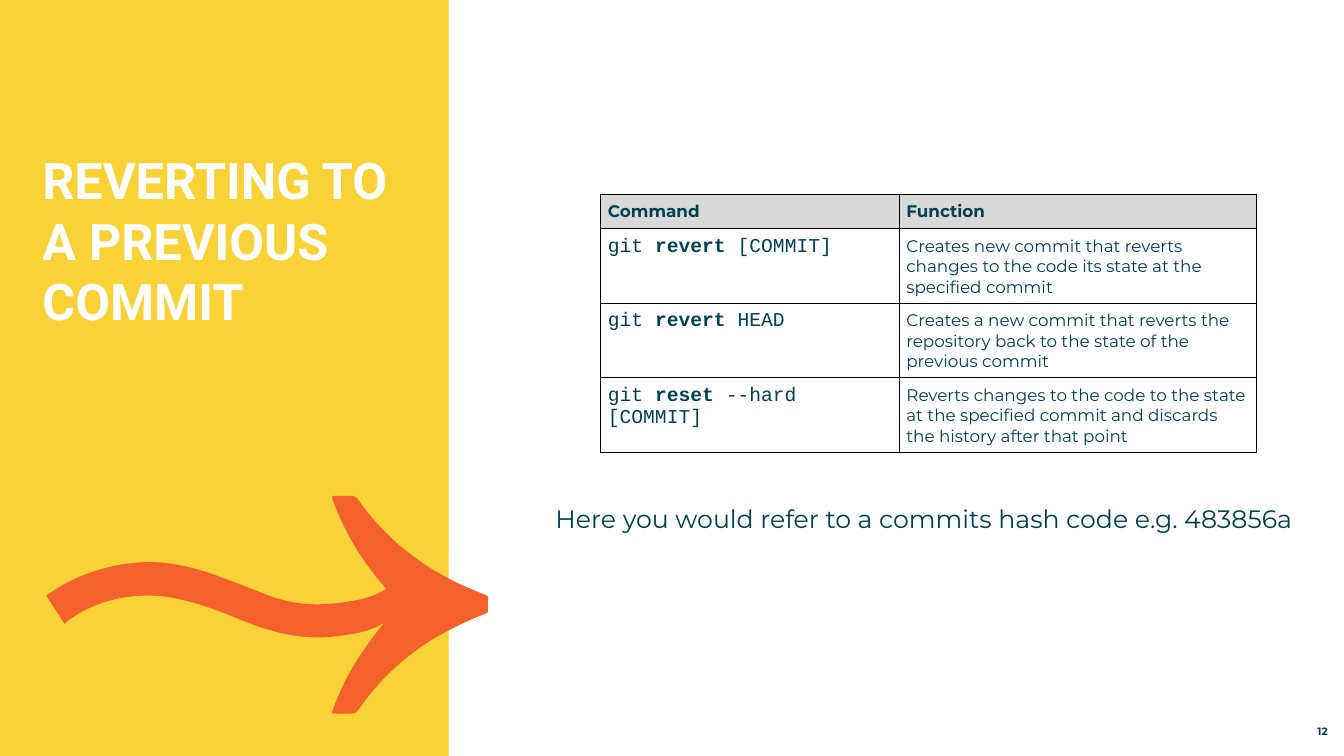
from lxml import etree
from pptx import Presentation
from pptx.dml.color import RGBColor
from pptx.enum.shapes import MSO_SHAPE
from pptx.enum.text import MSO_ANCHOR, PP_ALIGN
from pptx.oxml.ns import qn
from pptx.util import Inches, Pt

RECT = MSO_SHAPE.RECTANGLE
TOP, BOTTOM = MSO_ANCHOR.TOP, MSO_ANCHOR.BOTTOM
LEFT, RIGHT = PP_ALIGN.LEFT, PP_ALIGN.RIGHT

YELLOW = RGBColor(0xF8, 0xD2, 0x37)
ORANGE = RGBColor(0xF3, 0x61, 0x2C)
TEAL = RGBColor(0x00, 0x40, 0x50)
GREY = RGBColor(0xD9, 0xD9, 0xD9)
WHITE = RGBColor(0xFF, 0xFF, 0xFF)
BLACK = RGBColor(0x00, 0x00, 0x00)

# Arrow outline: two numbers are a straight step, six are a cubic curve
START = (3.29, 7.08)
ARROW = [
    (3.4, 6.74, 3.59, 6.45, 3.81, 6.18),
    (3.81, 6.19, 3.8, 6.19, 3.79, 6.19),
    (3.65, 6.27, 3.51, 6.29, 3.36, 6.31),
    (3, 6.36, 2.67, 6.27, 2.34, 6.13),
    (2.12, 6.04, 1.9, 5.96, 1.65, 5.92),
    (1.3, 5.88, 0.96, 5.95, 0.67, 6.16),
    (0.64, 6.19),
    (0.46, 5.91),
    (0.52, 5.87, 0.57, 5.83, 0.63, 5.8),
    (0.92, 5.64, 1.26, 5.56, 1.59, 5.58),
    (1.8, 5.6, 2, 5.65, 2.2, 5.73),
    (2.37, 5.79, 2.53, 5.86, 2.7, 5.92),
    (2.95, 6.01, 3.2, 6.01, 3.45, 5.97),
    (3.58, 5.95, 3.71, 5.92, 3.82, 5.85),
    (3.82, 5.84, 3.82, 5.84, 3.83, 5.84),
    (3.59, 5.57, 3.41, 5.27, 3.29, 4.93),
    (3.3, 4.92, 3.31, 4.92, 3.31, 4.92),
    (3.38, 4.92, 3.44, 4.92, 3.5, 4.92),
    (3.52, 4.92, 3.53, 4.93, 3.54, 4.94),
    (3.79, 5.3, 4.12, 5.58, 4.51, 5.77),
    (4.61, 5.82, 4.71, 5.86, 4.81, 5.9),
    (4.84, 5.91, 4.85, 5.93, 4.84, 5.96),
    (4.84, 5.99, 4.84, 6.02, 4.84, 6.05),
    (4.85, 6.07, 4.83, 6.09, 4.81, 6.09),
    (4.63, 6.16, 4.45, 6.25, 4.28, 6.35),
    (3.99, 6.53, 3.74, 6.77, 3.55, 7.05),
    (3.54, 7.07, 3.52, 7.08, 3.5, 7.08),
    (3.43, 7.08, 3.36, 7.08, 3.29, 7.08),
]

# A "*" sets off the bold part of a command
HEAD = ["Command", "Function"]
ROWS = [
    ("git *revert* [COMMIT]",
     "Creates new commit that reverts changes to the code its state at the specified commit"),
    ("git *revert* HEAD",
     "Creates a new commit that reverts the repository back to the state of the previous commit"),
    ("git *reset* --hard [COMMIT]",
     "Reverts changes to the code to the state at the specified commit and discards "
     "the history after that point"),
]


class Page:
    body = "Montserrat"
    title = "Roboto"
    code = "Courier New"

    def __init__(self, deck):
        self.slide = deck.slides.add_slide(deck.slide_layouts[6])
        self.shapes = self.slide.shapes

    def paint(self, shape, color):
        shape.shadow.inherit = False
        shape.fill.solid()
        shape.fill.fore_color.rgb = color
        shape.line.fill.background()

    def rect(self, x, y, w, h, color):
        box = self.shapes.add_shape(RECT, Inches(x), Inches(y), Inches(w), Inches(h))
        self.paint(box, color)

    def outline(self, start, steps, color):
        ends = [(Inches(step[-2]), Inches(step[-1])) for step in steps]
        pen = self.shapes.build_freeform(Inches(start[0]), Inches(start[1]), scale=1.0)
        pen.add_line_segments(ends, close=True)
        shape = pen.convert_to_shape()
        self.paint(shape, color)
        # Bend the six-number steps into curves
        lines = list(shape._element.iter(qn("a:lnTo")))
        for line, step in zip(lines, steps):
            if len(step) == 6:
                curve = etree.Element(qn("a:cubicBezTo"))
                for x, y in zip(step[::2], step[1::2]):
                    etree.SubElement(curve, qn("a:pt"), x=str(Inches(x) - shape.left),
                                     y=str(Inches(y) - shape.top))
                line.getparent().replace(line, curve)

    def style(self, run, size, face, color=TEAL, bold=False):
        font = run.font
        font.size, font.name, font.bold = Pt(size), face, bold
        font.color.rgb = color

    def text(self, x, y, w, h, words, size, face, color=TEAL, bold=False,
             align=LEFT, anchor=TOP):
        box = self.shapes.add_textbox(Inches(x), Inches(y), Inches(w), Inches(h))
        frame = box.text_frame
        frame.word_wrap = True
        frame.vertical_anchor = anchor
        frame.margin_left = frame.margin_right = 0
        frame.margin_top = frame.margin_bottom = 0
        frame.text = words
        para = frame.paragraphs[0]
        para.alignment = align
        self.style(para.runs[0], size, face, color, bold)

    def border(self, cell):
        props = cell._tc.get_or_add_tcPr()
        for i, side in enumerate(("a:lnL", "a:lnR", "a:lnT", "a:lnB")):
            line = etree.Element(qn(side), w=str(Pt(0.75)))
            fill = etree.SubElement(line, qn("a:solidFill"))
            etree.SubElement(fill, qn("a:srgbClr"), val=str(BLACK))
            props.insert(i, line)

    def cell(self, cell, words, size, face, head=False):
        cell.margin_left = cell.margin_right = Inches(0.07)
        cell.margin_top = cell.margin_bottom = Inches(0.07)
        if head:
            cell.fill.solid()
            cell.fill.fore_color.rgb = GREY
        else:
            cell.fill.background()
        self.border(cell)
        para = cell.text_frame.paragraphs[0]
        for i, part in enumerate(words.split("*")):
            run = para.add_run()
            run.text = part
            self.style(run, size, face, bold=head or i == 1)

    def table(self, x, y, widths, heights, head, rows):
        grid = self.shapes.add_table(len(heights), len(widths), Inches(x), Inches(y),
                                     Inches(sum(widths)), Inches(sum(heights))).table
        for col, width in zip(grid.columns, widths):
            col.width = Inches(width)
        for row, height in zip(grid.rows, heights):
            row.height = Inches(height)
        for c, words in enumerate(head):
            self.cell(grid.cell(0, c), words, 12, self.body, head=True)
        for r, (command, usage) in enumerate(rows, 1):
            self.cell(grid.cell(r, 0), command, 14, self.code)
            self.cell(grid.cell(r, 1), usage, 12, self.body)


def main():
    deck = Presentation()
    deck.slide_width, deck.slide_height = Inches(13.33), Inches(7.5)
    page = Page(deck)

    # Left panel with arrow and title
    page.rect(0, 0, 4.45, 7.5, YELLOW)
    page.outline(START, ARROW, ORANGE)
    page.text(0.42, 1.48, 3.77, 3.01, "REVERTING TO A PREVIOUS COMMIT", 36,
              page.title, WHITE, bold=True)

    # Commands and the note below them
    page.table(5.96, 1.93, [2.96, 3.54], [0.32] + [0.74] * 3, HEAD, ROWS)
    page.text(5.51, 4.99, 7.4, 0.4,
              "Here you would refer to a commits hash code e.g. 483856a", 18, page.body)

    # Page number
    page.text(12.31, 7.12, 0.86, 0.2, "12", 7.6, page.body, bold=True,
              align=RIGHT, anchor=BOTTOM)

    deck.save("out.pptx")


if __name__ == "__main__":
    main()
